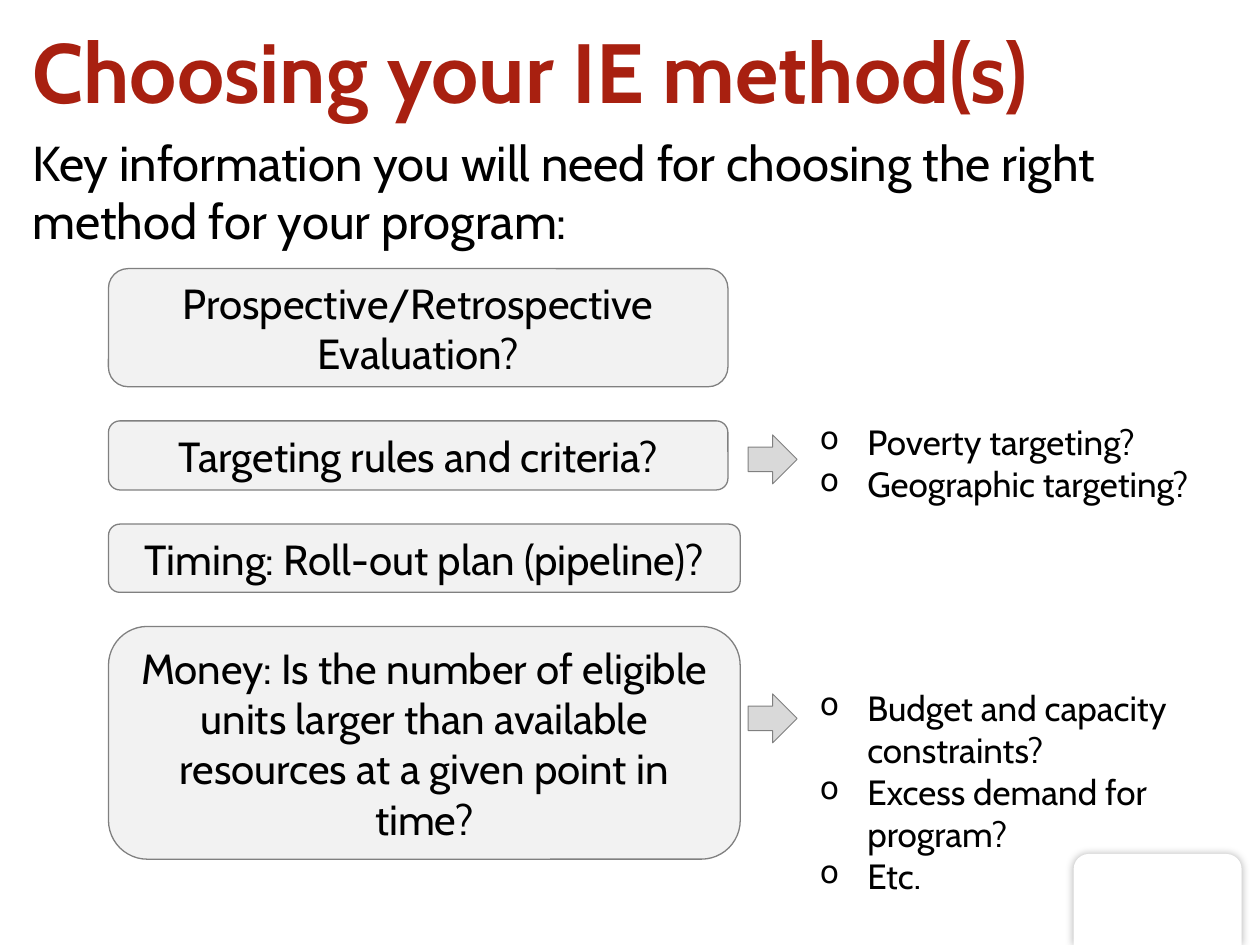
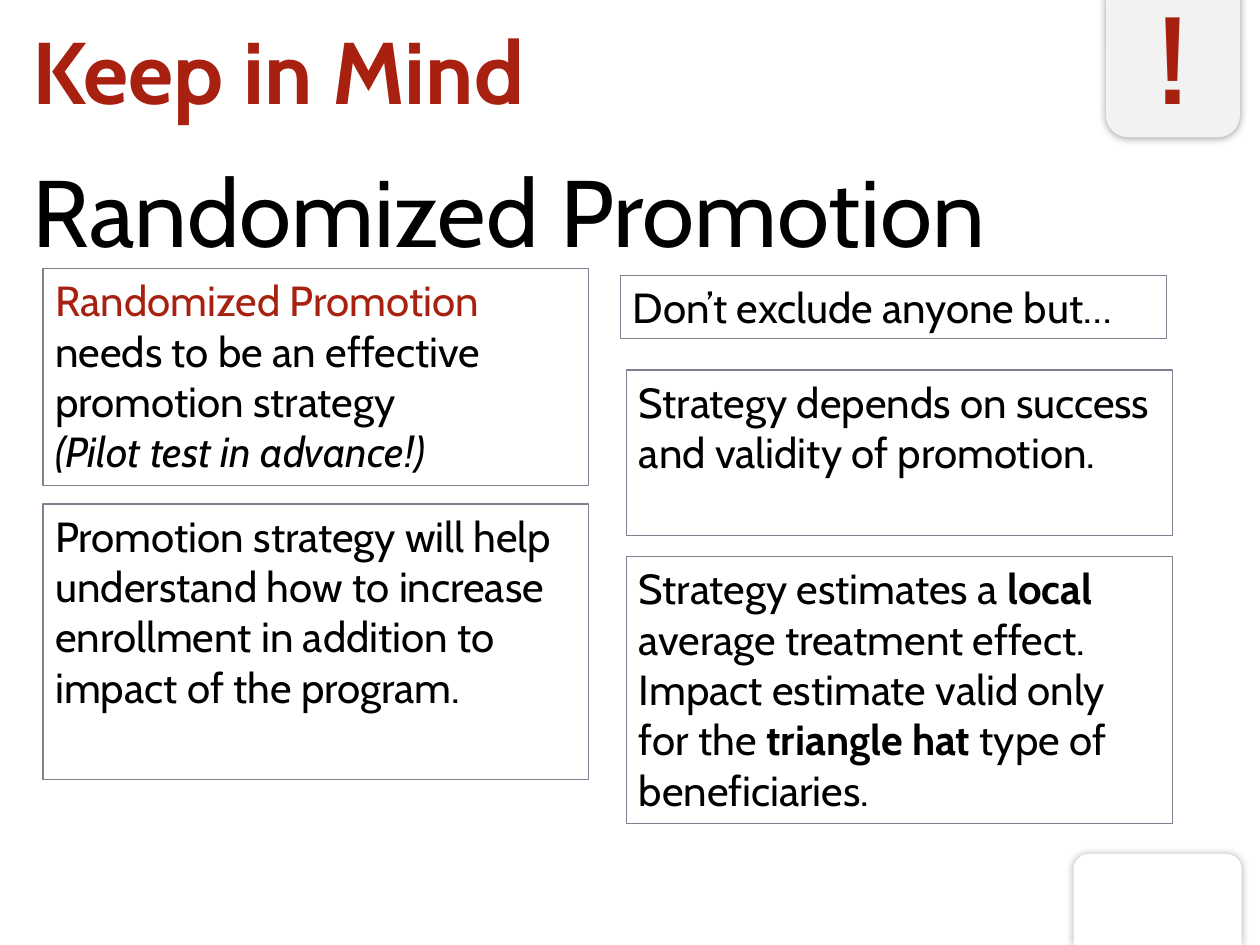
from dataclasses import dataclass

from lxml import etree
from pptx import Presentation
from pptx.dml.color import RGBColor as RGB
from pptx.enum.shapes import MSO_SHAPE as SHAPE
from pptx.enum.text import MSO_ANCHOR as ANCHOR, PP_ALIGN as ALIGN
from pptx.oxml.ns import qn
from pptx.util import Pt


@dataclass(frozen=True)
class Theme:
    font: str = "Cabin"
    red: str = "A82010"
    black: str = "000000"
    white: str = "FFFFFF"
    panel: str = "F2F2F2"
    arrow: str = "D9D9D9"
    outline: str = "808080"
    note_outline: str = "7F7F8F"
    method_title: int = 48
    mind_title: int = 50
    subtitle: int = 54
    lead: int = 28
    body: int = 24
    bullet: int = 20
    badge: int = 66


THEME = Theme()

# Content of slide 1
METHOD_TITLE = "Choosing your IE method(s)"
METHOD_LEAD = "Key information you will need for choosing the right method for your program:"
QUESTIONS = [  # text, width, height
    ("Prospective/Retrospective Evaluation?", 354, 67.5),
    ("Targeting rules and criteria?", 354, 39.5),
    ("Timing: Roll-out plan (pipeline)?", 361, 39),
    ("Money: Is the number of eligible units larger than available "
     "resources at a given point in time?", 361, 133),
]
DETAILS = [  # arrow top, list top, list width, list height, items
    (248.5, 237, 236, 80, ["Poverty targeting?", "Geographic targeting?"]),
    (396.5, 389, 230, 128, ["Budget and capacity constraints?",
                            "Excess demand for program?", "Etc."]),
]

# Content of slide 2: each note is a list of paragraphs, each paragraph a list of runs
MIND_TITLE = "Keep in Mind"
MIND_SUBTITLE = "Randomized Promotion"
RED, BOLD, ITALIC = {"color": THEME.red}, {"bold": True}, {"italic": True}
NOTES = [  # left, top, height, paragraphs
    (24.5, 153.5, 124, [
        [("Randomized Promotion ", RED),
         ("needs to be an effective promotion strategy", {})],
        [("(Pilot test in advance!)", ITALIC)]]),
    (24.5, 288, 157.5, [
        [("Promotion strategy will help understand how to increase "
          "enrollment in addition to impact of the program.", {})]]),
    (354.5, 157.5, 36, [[("Don’t exclude anyone but…", {})]]),
    (358, 211.5, 94.5, [
        [("Strategy depends on success and validity of promotion.", {})]]),
    (358, 318, 152.5, [
        [("Strategy estimates a ", {}), ("local ", BOLD),
         ("average treatment effect. Impact estimate valid only for the ", {}),
         ("triangle hat ", BOLD), ("type of beneficiaries.", {})]]),
]

# Layout
SLIDE_SIZE = (720, 540)
MARGIN = 11.5
QUESTION_LEFT, QUESTION_TOP, QUESTION_GAP = 62, 153.5, 19.5
ARROW_LEFT, ARROW_SIZE = 427.5, 28
DETAIL_LEFT, BULLET_INDENT = 461.5, 27
NOTE_WIDTH = 312


def plain(text, **style):
    """One paragraph holding one run."""
    return [[(text, style)]]


def write(shape, paragraphs, size, align=ALIGN.LEFT, anchor=ANCHOR.TOP, wrap=True):
    frame = shape.text_frame
    frame.word_wrap = wrap
    frame.vertical_anchor = anchor
    for index, runs in enumerate(paragraphs):
        paragraph = frame.paragraphs[0] if index == 0 else frame.add_paragraph()
        paragraph.alignment = align
        for text, style in runs:
            run = paragraph.add_run()
            run.text = text
            font = run.font
            font.name, font.size = THEME.font, Pt(size)
            font.bold = style.get("bold", False)
            font.italic = style.get("italic", False)
            font.color.rgb = RGB.from_string(style.get("color", THEME.black))


def add_text(slide, box, paragraphs, size, **options):
    shape = slide.shapes.add_textbox(*map(Pt, box))
    write(shape, paragraphs, size, **options)
    return shape


def add_panel(slide, kind, box, fill=None, line=None, line_width=0.75):
    shape = slide.shapes.add_shape(kind, *map(Pt, box))
    shape.shadow.inherit = False
    if fill:
        shape.fill.solid()
        shape.fill.fore_color.rgb = RGB.from_string(fill)
    else:
        shape.fill.background()
    if line:
        shape.line.color.rgb = RGB.from_string(line)
        shape.line.width = Pt(line_width)
    else:
        shape.line.fill.background()
    return shape


def add_glow_shadow(shape, opacity):
    effects = shape.element.spPr.find(qn("a:effectLst"))
    shadow = etree.SubElement(effects, qn("a:outerShdw"), blurRad=str(Pt(5)),
                              dist="0", dir="0", algn="ctr", rotWithShape="0")
    color = etree.SubElement(shadow, qn("a:srgbClr"), val=THEME.black)
    etree.SubElement(color, qn("a:alpha"), val=str(opacity * 1000))


def add_bullets(shape):
    for paragraph in shape.text_frame.paragraphs:
        properties = paragraph._p.get_or_add_pPr()
        properties.set("marL", str(Pt(BULLET_INDENT)))
        properties.set("indent", str(-Pt(BULLET_INDENT)))
        etree.SubElement(properties, qn("a:buSzPct"), val="90000")
        etree.SubElement(properties, qn("a:buChar"), char="o")


def add_base_slide(presentation, title, title_size, title_width):
    """Blank slide with the shared corner tab and title."""
    slide = presentation.slides.add_slide(presentation.slide_layouts[6])
    tab = add_panel(slide, SHAPE.ROUND_2_SAME_RECTANGLE, (613.5, 488, 96, 52), THEME.white)
    add_glow_shadow(tab, 30)
    add_text(slide, (MARGIN, 6, title_width, 67.5),
             plain(title, color=THEME.red, bold=True), title_size, anchor=ANCHOR.MIDDLE)
    return slide


def build_method_slide(presentation):
    slide = add_base_slide(presentation, METHOD_TITLE, THEME.method_title, 698)
    add_text(slide, (MARGIN, 72, 675.5, 75), plain(METHOD_LEAD), THEME.lead)

    # Stack of questions
    top = QUESTION_TOP
    for text, width, height in QUESTIONS:
        question = add_panel(slide, SHAPE.ROUNDED_RECTANGLE,
                             (QUESTION_LEFT, top, width, height), THEME.panel, THEME.outline)
        write(question, plain(text), THEME.body, ALIGN.CENTER, ANCHOR.MIDDLE)
        top += height + QUESTION_GAP

    # Arrows and their detail lists
    for arrow_top, list_top, width, height, items in DETAILS:
        add_panel(slide, SHAPE.RIGHT_ARROW, (ARROW_LEFT, arrow_top, ARROW_SIZE, ARROW_SIZE),
                  THEME.arrow, THEME.outline, 0.5)
        details = add_text(slide, (DETAIL_LEFT, list_top, width, height),
                           [[(item, {})] for item in items], THEME.bullet)
        add_bullets(details)


def build_mind_slide(presentation):
    slide = add_base_slide(presentation, MIND_TITLE, THEME.mind_title, 596)
    add_text(slide, (MARGIN, 84, 584, 72.5), plain(MIND_SUBTITLE), THEME.subtitle, wrap=False)

    # Outlined notes
    for left, top, height, paragraphs in NOTES:
        note = add_panel(slide, SHAPE.RECTANGLE, (left, top, NOTE_WIDTH, height),
                         line=THEME.note_outline)
        write(note, paragraphs, THEME.body)

    # Attention badge at the top edge
    badge = add_panel(slide, SHAPE.ROUNDED_RECTANGLE, (632, -11.5, 76.5, 90), THEME.panel)
    add_glow_shadow(badge, 40)
    write(badge, plain("!", color=THEME.red, bold=True), THEME.badge,
          ALIGN.CENTER, ANCHOR.MIDDLE)


def main():
    presentation = Presentation()
    presentation.slide_width, presentation.slide_height = map(Pt, SLIDE_SIZE)
    build_method_slide(presentation)
    build_mind_slide(presentation)
    presentation.save("out.pptx")


if __name__ == "__main__":
    main()
